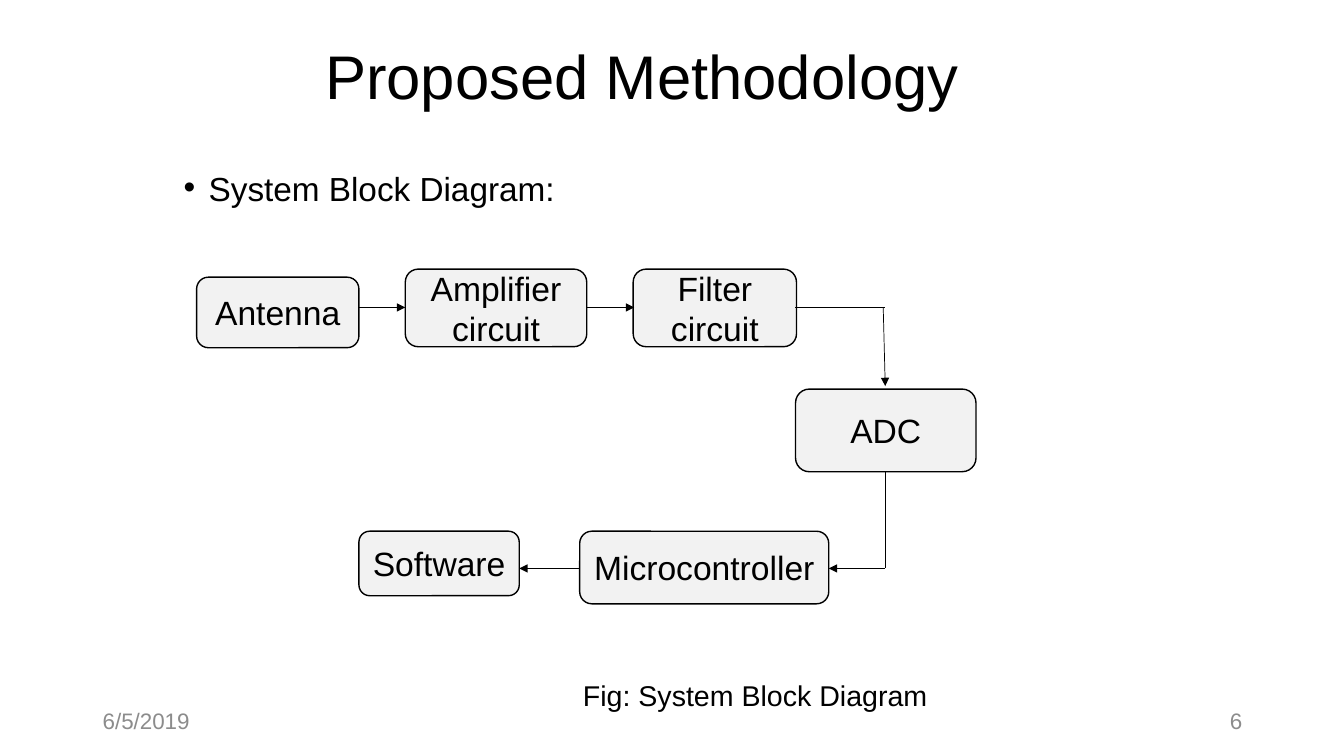
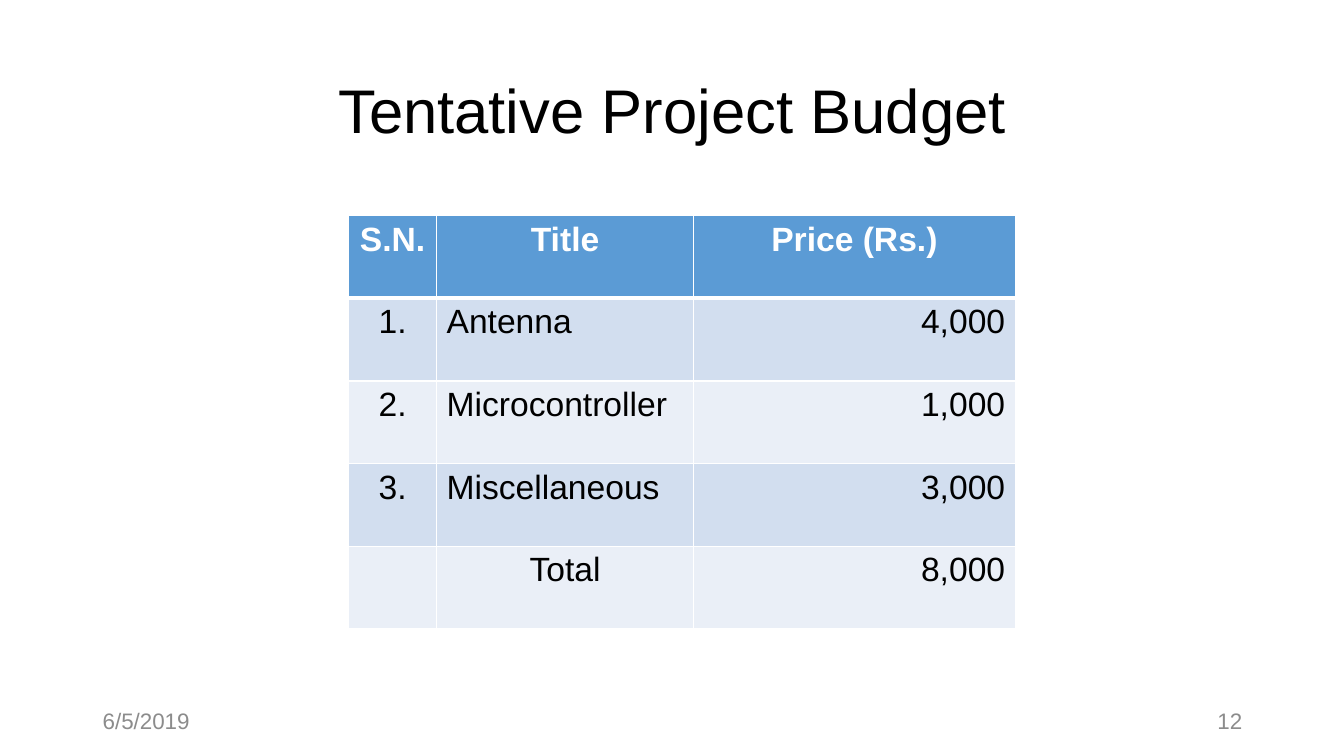
from dataclasses import dataclass

from lxml import etree
from pptx import Presentation
from pptx.dml.color import RGBColor
from pptx.enum.shapes import MSO_CONNECTOR, MSO_SHAPE
from pptx.enum.text import MSO_ANCHOR, MSO_AUTO_SIZE, PP_ALIGN
from pptx.oxml.ns import qn
from pptx.util import Inches, Pt

LEFT, CENTER, RIGHT = PP_ALIGN.LEFT, PP_ALIGN.CENTER, PP_ALIGN.RIGHT
MIDDLE, TOP = MSO_ANCHOR.MIDDLE, MSO_ANCHOR.TOP
ROUNDED = MSO_SHAPE.ROUNDED_RECTANGLE
STRAIGHT = MSO_CONNECTOR.STRAIGHT


@dataclass(frozen=True)
class Theme:
    font: str = "Arial"
    ink: str = "000000"
    white: str = "FFFFFF"
    muted: str = "8C8C8C"
    box: str = "F2F2F2"
    header: str = "5B9BD5"
    bands: tuple = ("D2DEEF", "EAEFF7")
    title_size: float = 44
    bullet_size: float = 23.8
    text_size: float = 24
    caption_size: float = 20.4
    footer_size: float = 16


theme = Theme()


def write(frame, text, size=theme.text_size, color=theme.ink, bold=False,
          align=LEFT, anchor=MIDDLE, spacing=None):
    frame.word_wrap = True
    frame.auto_size = MSO_AUTO_SIZE.NONE
    frame.vertical_anchor = anchor
    paragraph = frame.paragraphs[0]
    paragraph.alignment = align
    paragraph.line_spacing = spacing
    run = paragraph.add_run()
    run.text = text
    run.font.name = theme.font
    run.font.size = Pt(size)
    run.font.bold = bold
    run.font.color.rgb = RGBColor.from_string(color)


def place(shape, left, top, width, height):
    shape.left, shape.top = Inches(left), Inches(top)
    shape.width, shape.height = Inches(width), Inches(height)


presentation = Presentation()
presentation.slide_width = Inches(13.33)
presentation.slide_height = Inches(7.5)
content_layout = presentation.slide_layouts[1]
title_layout = presentation.slide_layouts[5]

pages = [
    (content_layout, "Proposed Methodology", 0.62, 0.06, "6"),
    (title_layout, "Tentative Project Budget", 0.92, 0.4, "12"),
]
slides = []
for layout, title, left, top, number in pages:
    slide = presentation.slides.add_slide(layout)
    slides.append(slide)
    place(slide.shapes.title, left, top, 11.5, 1.45)
    write(slide.shapes.title.text_frame, title, size=theme.title_size,
          align=CENTER, spacing=0.9)
    for text, footer_left, align in (("6/5/2019", 0.92, LEFT), (number, 9.42, RIGHT)):
        footer = slide.shapes.add_textbox(
            Inches(footer_left), Inches(6.95), Inches(3), Inches(0.4))
        write(footer.text_frame, text, size=theme.footer_size,
              color=theme.muted, align=align)

diagram_slide, budget_slide = slides

body = diagram_slide.placeholders[1]
place(body, 1.72, 1.73, 9.31, 0.6)
write(body.text_frame, "System Block Diagram:", size=theme.bullet_size,
      anchor=TOP, spacing=0.7)
bullet = body.text_frame.paragraphs[0]
bullet.space_before = Pt(10)
bullet_properties = bullet._p.get_or_add_pPr()
bullet_properties.set("marL", str(Inches(0.25)))
bullet_properties.set("indent", str(Inches(-0.25)))
etree.SubElement(bullet_properties, qn("a:buChar"), char="•")

blocks = [
    ("Antenna", 1.95, 2.75, 1.61, 0.7),
    ("Amplifier circuit", 4.02, 2.67, 1.8, 0.77),
    ("Filter circuit", 6.28, 2.67, 1.62, 0.77),
    ("ADC", 7.89, 3.86, 1.79, 0.82),
    ("Microcontroller", 5.75, 5.27, 2.47, 0.72),
    ("Software", 3.56, 5.27, 1.59, 0.64),
]
for name, left, top, width, height in blocks:
    block = diagram_slide.shapes.add_shape(
        ROUNDED, Inches(left), Inches(top), Inches(width), Inches(height))
    block.shadow.inherit = False
    block.fill.solid()
    block.fill.fore_color.rgb = RGBColor.from_string(theme.box)
    block.line.color.rgb = RGBColor.from_string(theme.ink)
    block.line.width = Pt(1)
    frame = block.text_frame
    frame.margin_left = frame.margin_right = Inches(0.05)
    frame.margin_top = frame.margin_bottom = 0
    write(frame, name, align=CENTER)

upper, lower, turn = 3.05, 5.64, 8.78
links = [
    (3.56, upper, 4.02, upper, 1, True),
    (5.82, upper, 6.29, upper, 1, True),
    (7.89, upper, turn, upper, 1, False),
    (8.76, upper, turn, 3.83, 0.5, True),
    (turn, 4.68, turn, lower, 1, False),
    (turn, lower, 8.22, lower, 1, True),
    (5.75, lower, 5.15, lower, 1, True),
]
for start_x, start_y, end_x, end_y, weight, has_arrow in links:
    link = diagram_slide.shapes.add_connector(
        STRAIGHT, Inches(start_x), Inches(start_y), Inches(end_x), Inches(end_y))
    link.line.color.rgb = RGBColor.from_string(theme.ink)
    link.line.width = Pt(weight)
    if has_arrow:
        etree.SubElement(link.line._get_or_add_ln(), qn("a:tailEnd"), type="triangle")
    etree.SubElement(link._element.spPr, qn("a:effectLst"))

caption = diagram_slide.shapes.add_textbox(
    Inches(5.49), Inches(6.7), Inches(4), Inches(0.4))
write(caption.text_frame, "Fig: System Block Diagram",
      size=theme.caption_size, align=CENTER)

budget = [
    ("S.N.", "Title", "Price (Rs.)"),
    ("1.", "Antenna", "4,000"),
    ("2.", "Microcontroller", "1,000"),
    ("3.", "Miscellaneous", "3,000"),
    ("", "Total", "8,000"),
]
column_widths = (0.87, 2.55, 3.19)
row_height = 0.82
table = budget_slide.shapes.add_table(
    len(budget), len(column_widths), Inches(3.46), Inches(2.14),
    Inches(sum(column_widths)), Inches(row_height * len(budget))).table
for column, width in zip(table.columns, column_widths):
    column.width = Inches(width)

for row_index, values in enumerate(budget):
    is_header = row_index == 0
    fill = theme.header if is_header else theme.bands[(row_index - 1) % 2]
    table.rows[row_index].height = Inches(row_height)
    for column_index, value in enumerate(values):
        cell = table.cell(row_index, column_index)
        properties = cell._tc.get_or_add_tcPr()
        for side in ("lnL", "lnR", "lnT", "lnB"):
            thick = (row_index, side) in ((0, "lnB"), (1, "lnT"))
            border = etree.SubElement(
                properties, qn("a:" + side), w=str(Pt(3 if thick else 1)))
            border_fill = etree.SubElement(border, qn("a:solidFill"))
            etree.SubElement(border_fill, qn("a:srgbClr"), val=theme.white)
        cell.fill.solid()
        cell.fill.fore_color.rgb = RGBColor.from_string(fill)
        if value:
            align = (CENTER, LEFT, RIGHT)[column_index]
            if is_header or value == "Total":
                align = CENTER
            write(cell.text_frame, value, bold=is_header, align=align, anchor=TOP,
                  color=theme.white if is_header else theme.ink)

presentation.save("out.pptx")
